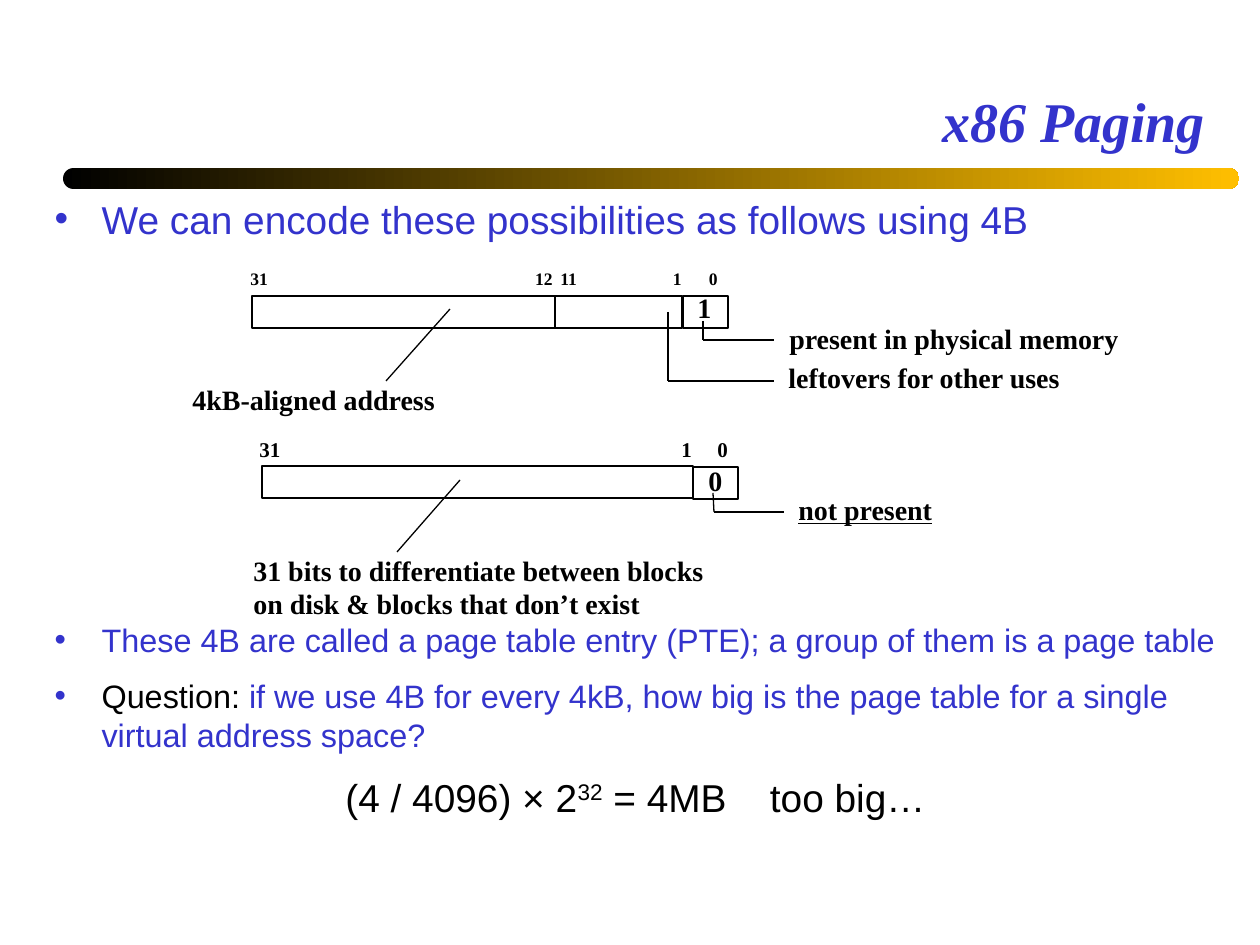
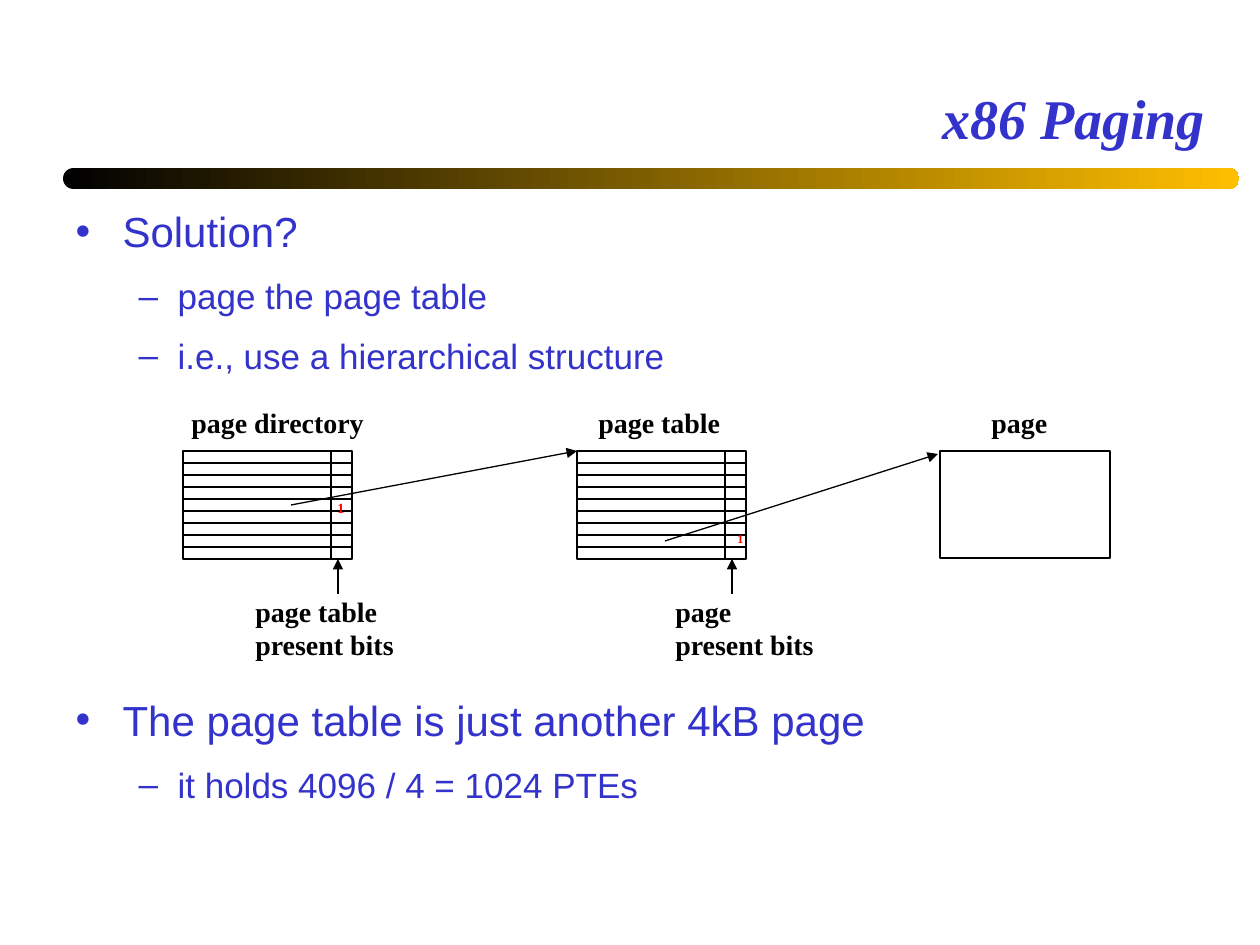
from lxml import etree
from pptx import Presentation
from pptx.dml.color import RGBColor
from pptx.enum.shapes import MSO_CONNECTOR, MSO_SHAPE
from pptx.enum.text import MSO_ANCHOR, MSO_AUTO_SIZE, PP_ALIGN
from pptx.oxml.ns import qn
from pptx.util import Emu, Pt

LEFT, RIGHT, CENTER = PP_ALIGN.LEFT, PP_ALIGN.RIGHT, PP_ALIGN.CENTER
SCALE = 914400 / 126
COLORS = {name: RGBColor.from_string(value) for name, value in {
    "blue": "3333CC", "black": "000000", "gold": "FFBF00", "red": "FF0000"}.items()}
SANS, SERIF = "Arial", "Times New Roman"


def px(*lengths):
    return [Emu(round(length * SCALE)) for length in lengths]


def style(font, name, size, color, bold=False):
    font.name, font.size, font.bold = name, Pt(size), bold
    font.color.rgb = COLORS[color]


deck = Presentation()
deck.slide_width, deck.slide_height = px(1260, 945)
layout = deck.slide_layouts[1]

# Body paragraphs: (bullet, size, space before, space after, runs)
# A run is (text, colour, extra character attributes).
encoding_body = [
    ("•", 22.2, 6, 6, [("We can encode these possibilities as follows using 4B", "blue", {})]),
    ("•", 18.5, 210, 5, [("These 4B are called a page table entry (PTE); "
                          "a group of them is a page table", "blue", {})]),
    ("•", 18.5, 5, 5, [("Question: ", "black", {}),
                       ("if we use 4B for every 4kB, how big is the page table "
                        "for a single virtual address space?", "blue", {})]),
    (None, 22.2, 6, 6, [("(4 / 4096) × 2", "black", {}),
                        ("32", "black", {"baseline": "30000"}),
                        (" = 4MB", "black", {}),
                        (" ", "black", {"spc": "1850"}),
                        ("too big…", "black", {})]),
]
hierarchy_body = [
    ("•", 24, 6, 6, [("Solution?", "blue", {})]),
    ("–", 20, 5, 5, [("page the page table", "blue", {})]),
    ("–", 20, 5, 5, [("i.e., use a hierarchical structure", "blue", {})]),
    ("•", 24, 176.5, 6, [("The page table is just another 4kB page", "blue", {})]),
    ("–", 20, 5, 5, [("it holds 4096 / 4 = 1024 PTEs", "blue", {})]),
]

# Diagrams: boxes (x, y, w, h), lines (x1, y1, x2, y2, arrow),
# labels (text, x, y, w, h, size, alignment, colour)
encoding_boxes = [
    (252, 296, 303, 32), (555, 296, 127, 32), (683, 296, 45, 32),
    (262, 466, 431, 32), (693, 467, 45, 32),
]
encoding_lines = [
    (703, 321, 703, 340, False), (703, 340, 774, 340, False),
    (668, 312, 668, 381, False), (668, 381, 774, 381, False),
    (450, 309, 386, 381, False),
    (713, 493, 714, 512, False), (714, 512, 784, 512, False),
    (460, 480, 397, 552, False),
]
encoding_labels = [
    ("31", 238, 262, 44, 34, 10, LEFT, "black"),
    ("12", 522, 262, 43, 34, 10, RIGHT, "black"),
    ("11", 548, 262, 43, 34, 10, LEFT, "black"),
    ("1", 660, 262, 34, 34, 10, RIGHT, "black"),
    ("0", 696, 262, 34, 34, 10, RIGHT, "black"),
    ("1", 685, 284, 39, 47, 16, LEFT, "black"),
    ("present in physical memory", 777, 315, 354, 47, 16, LEFT, "black"),
    ("leftovers for other uses", 776, 354, 297, 47, 16, LEFT, "black"),
    ("4kB-aligned address", 180, 376, 268, 47, 16, LEFT, "black"),
    ("31", 247, 430, 50, 38, 12, LEFT, "black"),
    ("1", 669, 430, 35, 38, 12, RIGHT, "black"),
    ("0", 705, 430, 35, 38, 12, RIGHT, "black"),
    ("0", 696, 457, 39, 47, 16, LEFT, "black"),
    ("not present", 786, 486, 159, 47, 16, LEFT, "black"),
    ("31 bits to differentiate between blocks\non disk & blocks that don’t exist",
     241, 547, 475, 81, 16, LEFT, "black"),
]

hierarchy_boxes = [(940, 451, 170, 107)]
hierarchy_lines = [(291, 505, 577, 451, True), (665, 541, 938, 454, True)]
TABLE_TOP, ROW_HEIGHT, ROWS = 451, 12, 9
TABLE_BOTTOM = TABLE_TOP + ROW_HEIGHT * ROWS
for table_left in (183, 577):
    for row in range(ROWS):
        hierarchy_boxes.append((table_left, TABLE_TOP + row * ROW_HEIGHT, 169, ROW_HEIGHT))
    bit_column, pointer = table_left + 148, table_left + 155
    hierarchy_lines += [(bit_column, TABLE_TOP, bit_column, TABLE_BOTTOM, False),
                        (pointer, 594, pointer, TABLE_BOTTOM, True)]
hierarchy_labels = [
    ("page directory", 179, 399, 198, 47, 16, LEFT, "black"),
    ("page table", 586, 399, 152, 47, 16, LEFT, "black"),
    ("page", 979, 399, 81, 47, 16, LEFT, "black"),
    ("page table\npresent bits", 243, 588, 164, 81, 16, LEFT, "black"),
    ("page\npresent bits", 663, 588, 164, 81, 16, LEFT, "black"),
    ("1", 325, 493, 32, 30, 8, LEFT, "red"),
    ("1", 725, 525, 32, 28, 7, LEFT, "red"),
]

pages = [
    (42, (42, 189, 1187, 678), encoding_body, encoding_boxes, encoding_lines, encoding_labels),
    (39, (63, 199, 1135, 667), hierarchy_body, hierarchy_boxes, hierarchy_lines, hierarchy_labels),
]
indents = {"•": (47, -47), "–": (102, -39), None: (47, -47)}

for title_top, body_place, body_text, boxes, lines, labels in pages:
    page = deck.slides.add_slide(layout)
    band = page.shapes.add_shape(MSO_SHAPE.ROUNDED_RECTANGLE, *px(63, 168, 1176, 21))
    band.adjustments[0] = 0.5
    band.shadow.inherit = False
    band.line.fill.background()
    band.fill.gradient()
    band.fill.gradient_angle = 0
    for stop, color in zip(band.fill.gradient_stops, ("black", "gold")):
        stop.color.rgb = COLORS[color]

    title = page.shapes.title
    title.left, title.top, title.width, title.height = px(63, title_top, 1155, 118)
    title.text_frame.text = "x86 Paging"
    title.text_frame.auto_size = MSO_AUTO_SIZE.NONE
    title.text_frame.vertical_anchor = MSO_ANCHOR.BOTTOM
    heading = title.text_frame.paragraphs[0]
    heading.alignment = RIGHT
    style(heading.font, SERIF, 32, "blue", bold=True)
    heading.font.italic = True

    body = page.placeholders[1]
    body.left, body.top, body.width, body.height = px(*body_place)
    frame = body.text_frame
    frame.auto_size = MSO_AUTO_SIZE.NONE
    frame.vertical_anchor = MSO_ANCHOR.TOP
    for index, (bullet, size, before, after, runs) in enumerate(body_text):
        para = frame.paragraphs[0] if index == 0 else frame.add_paragraph()
        para.level = 1 if bullet == "–" else 0
        para.alignment = LEFT if bullet else CENTER
        para.space_before, para.space_after = Pt(before), Pt(after)
        properties = para._p.get_or_add_pPr()
        margin, indent = px(*indents[bullet])
        properties.set("marL", str(margin))
        properties.set("indent", str(indent))
        if bullet:
            bullet_color = etree.SubElement(properties, qn("a:buClr"))
            etree.SubElement(bullet_color, qn("a:srgbClr"), val=str(COLORS["blue"]))
            etree.SubElement(properties, qn("a:buFont"), typeface=SANS)
            etree.SubElement(properties, qn("a:buChar"), char=bullet)
        else:
            etree.SubElement(properties, qn("a:buNone"))
        for text, color, attributes in runs:
            span = para.add_run()
            span.text = text
            style(span.font, SANS, size, color)
            for key, value in attributes.items():
                span.font._element.set(key, value)

    for place in boxes:
        box = page.shapes.add_shape(MSO_SHAPE.RECTANGLE, *px(*place))
        box.shadow.inherit = False
        box.fill.background()
        box.line.color.rgb = COLORS["black"]
        box.line.width = Pt(0.75)

    for *ends, arrow in lines:
        line = page.shapes.add_connector(MSO_CONNECTOR.STRAIGHT, *px(*ends))
        line.line.color.rgb = COLORS["black"]
        line.line.width = Pt(0.75)
        if arrow:
            etree.SubElement(line.line._get_or_add_ln(), qn("a:tailEnd"), type="triangle")
        etree.SubElement(line._element.spPr, qn("a:effectLst"))

    for text, left, top, width, height, size, alignment, color in labels:
        label = page.shapes.add_textbox(*px(left, top, width, height))
        label.text_frame.text = text
        label.text_frame.word_wrap = False
        label.text_frame.auto_size = MSO_AUTO_SIZE.SHAPE_TO_FIT_TEXT
        for para in label.text_frame.paragraphs:
            para.alignment = alignment
            style(para.font, SERIF, size, color, bold=True)
            para.font.underline = text == "not present"

deck.save("out.pptx")
